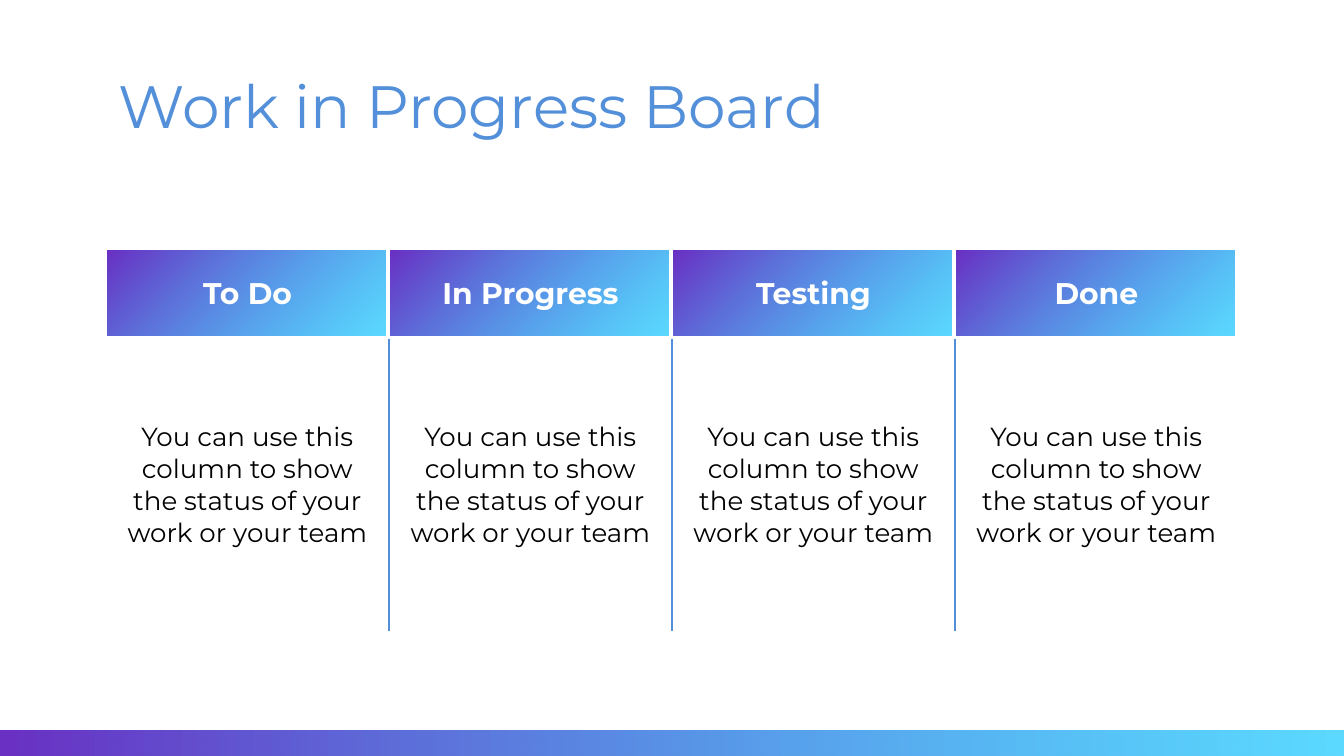
from dataclasses import dataclass

from pptx import Presentation
from pptx.dml.color import RGBColor as RGB
from pptx.enum.shapes import MSO_SHAPE as Shape
from pptx.enum.text import MSO_ANCHOR as Anchor, PP_ALIGN as Align
from pptx.oxml import parse_xml
from pptx.oxml.ns import nsdecls, qn
from pptx.util import Emu, Pt

SCALE = 914400 / 134.4
LINEAR = '<a:lin ang="0" scaled="0"/>'
CORNER = '<a:path path="circle"><a:fillToRect r="100000" b="100000"/></a:path>'


@dataclass(frozen=True)
class Theme:
    font: str = "Montserrat"
    blue: str = "5390D9"
    purple: str = "6930C3"
    cyan: str = "00C4FF"
    white: str = "FFFFFF"
    black: str = "000000"
    fade: int = 64
    title: int = 32
    head: int = 16
    body: int = 14
    rule: float = 0.75


def px(n):
    return Emu(round(n * SCALE))


def write(frame, text, size, color, font, bold=False, align=Align.LEFT):
    para = frame.paragraphs[0]
    para.alignment = align
    run = para.add_run()
    run.text = text
    run.font.name = font
    run.font.size = Pt(size)
    run.font.bold = bold
    run.font.color.rgb = RGB.from_string(color)


class Board:
    def __init__(self, slide, theme):
        self.slide = slide
        self.theme = theme

    def title(self, text, x, y, w, h):
        t = self.theme
        frame = self.slide.shapes.add_textbox(px(x), px(y), px(w), px(h)).text_frame
        frame.word_wrap = True
        frame.margin_left = frame.margin_right = px(13)
        frame.margin_top = frame.margin_bottom = px(13)
        write(frame, text, t.title, t.blue, t.font)

    def panel(self, x, y, w, h, blend):
        """Add a rectangle that fades from purple to translucent cyan."""
        t = self.theme
        box = self.slide.shapes.add_shape(Shape.RECTANGLE, px(x), px(y), px(w), px(h))
        box.shadow.inherit = False
        box.line.fill.background()
        box.fill.background()
        props = box._element.spPr
        grad = parse_xml(
            f'<a:gradFill {nsdecls("a")} rotWithShape="1"><a:gsLst>'
            f'<a:gs pos="0"><a:srgbClr val="{t.purple}"/></a:gs>'
            f'<a:gs pos="100000"><a:srgbClr val="{t.cyan}">'
            f'<a:alpha val="{t.fade * 1000}"/></a:srgbClr></a:gs>'
            f'</a:gsLst>{blend}</a:gradFill>')
        props.replace(props.find(qn("a:noFill")), grad)

    def edges(self, cell, sides):
        """Rule the given sides of a cell and clear the others."""
        t = self.theme
        props = cell._tc.get_or_add_tcPr()
        for side in "LRTB":
            fill = "<a:noFill/>"
            if side in sides:
                fill = f'<a:solidFill><a:srgbClr val="{t.blue}"/></a:solidFill>'
            props.append(parse_xml(
                f'<a:ln{side} {nsdecls("a")} w="{Pt(t.rule)}">{fill}</a:ln{side}>'))

    def cell(self, cell, text, sides="", **style):
        cell.margin_left = cell.margin_right = px(20)
        cell.margin_top = cell.margin_bottom = px(13)
        cell.vertical_anchor = Anchor.MIDDLE
        self.edges(cell, sides)
        cell.fill.background()
        write(cell.text_frame, text, font=self.theme.font, align=Align.CENTER, **style)

    def table(self, heads, note, x, y, col, rows):
        t = self.theme
        count = len(heads)
        grid = self.slide.shapes.add_table(
            2, count, px(x), px(y), px(col * count), px(sum(rows))).table
        grid.first_row = grid.horz_banding = False
        for row, high in zip(grid.rows, rows):
            row.height = px(high)
        for i, head in enumerate(heads):
            grid.columns[i].width = px(col)
            sides = ("L" if i else "") + ("R" if i < count - 1 else "")
            self.cell(grid.cell(0, i), head, size=t.head, color=t.white, bold=True)
            self.cell(grid.cell(1, i), note, sides, size=t.body, color=t.black)


def main():
    deck = Presentation()
    deck.slide_width, deck.slide_height = px(1344), px(756)
    board = Board(deck.slides.add_slide(deck.slide_layouts[6]), Theme())

    heads = ["To Do", "In Progress", "Testing", "Done"]
    note = "You can use this column to show the status of your work or your team"
    left, top, col = 106, 249, 283

    board.panel(0, 731, 1344, 25, LINEAR)
    for i in range(len(heads)):
        board.panel(left + 2 + i * col, top + 2, col - 5, 85, CORNER)
    board.title("Work in Progress Board", left, 56, 1133, 90)
    board.table(heads, note, left, top, col, [90, 292])
    deck.save("out.pptx")


if __name__ == "__main__":
    main()
